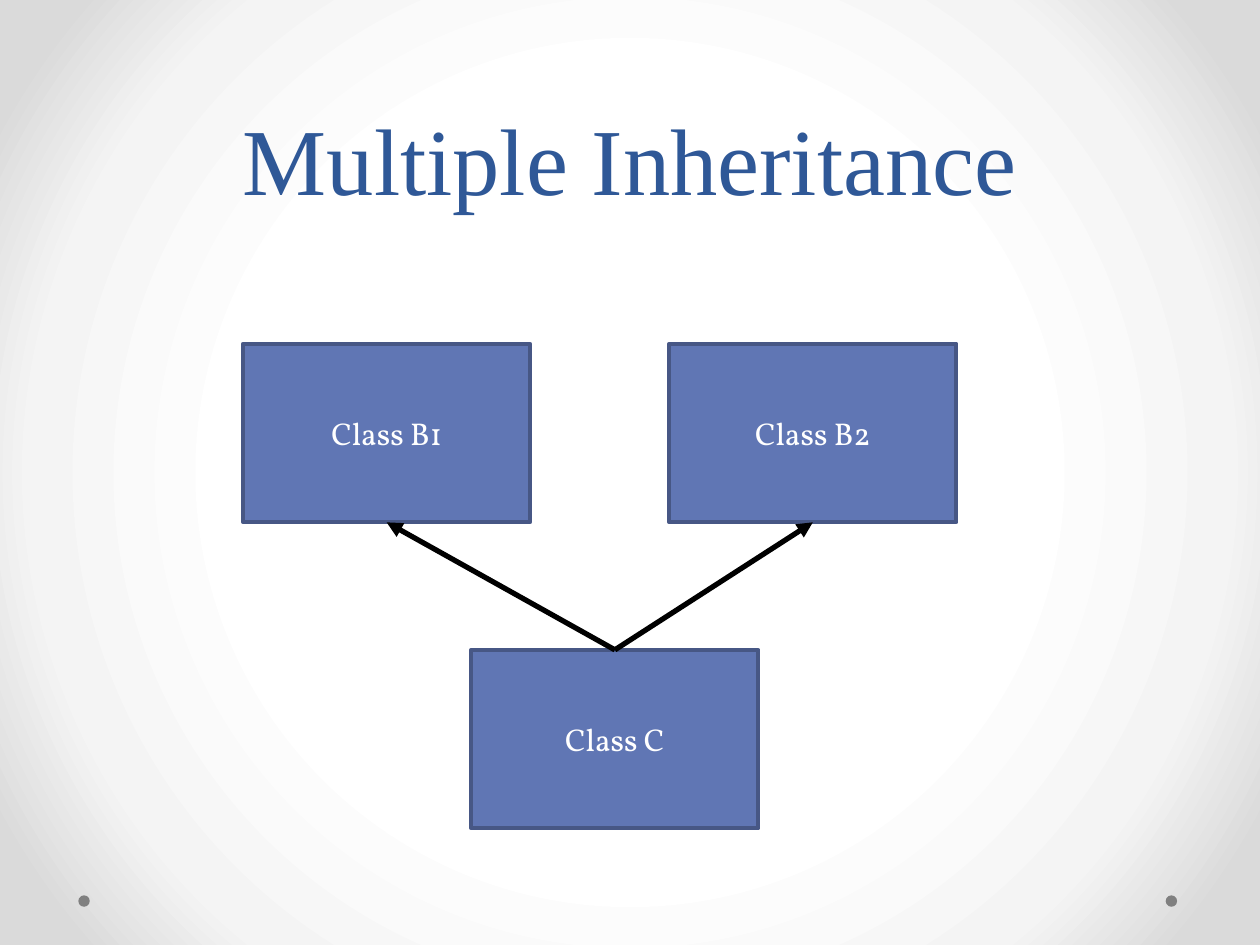
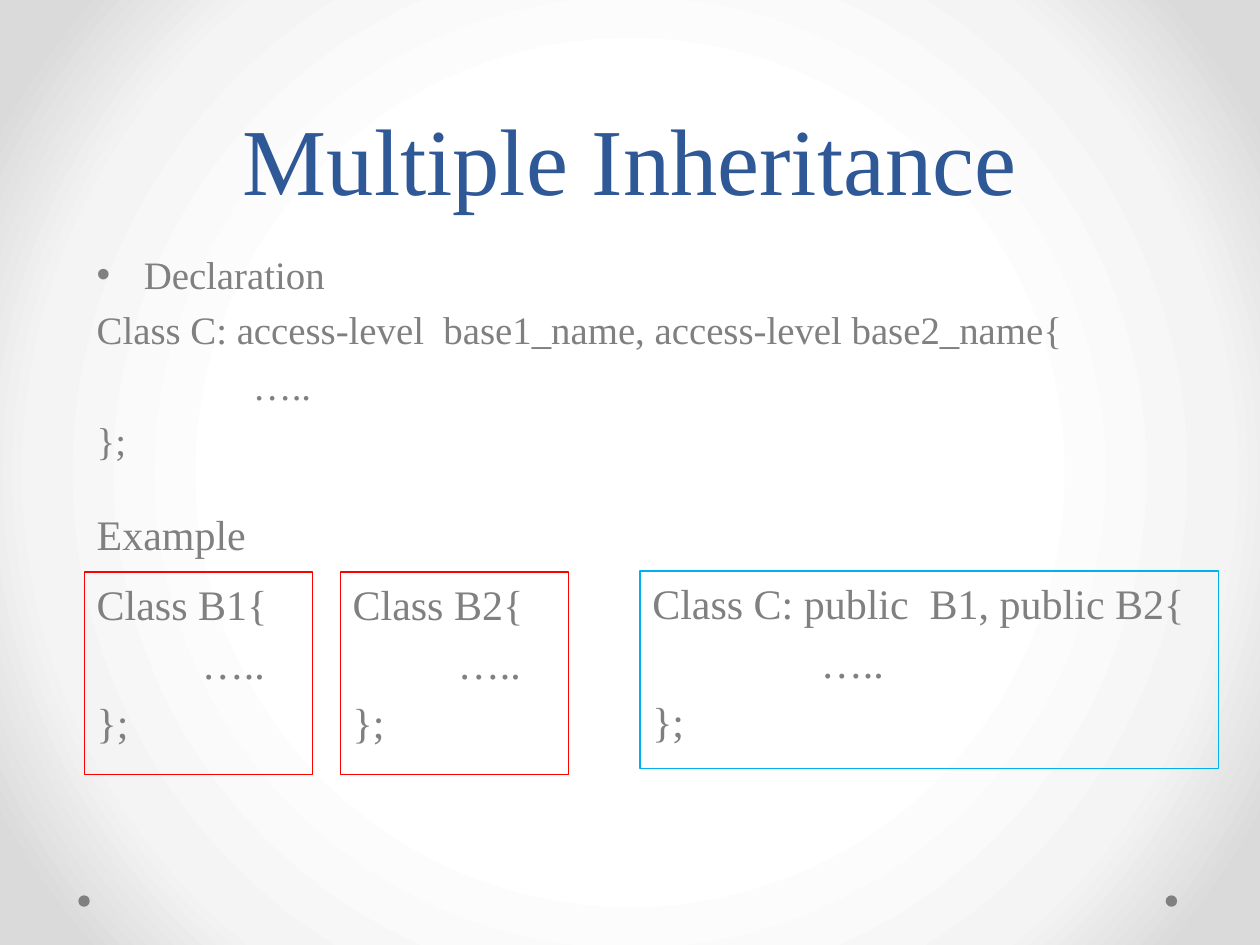
"""Build two slides on multiple inheritance: a class diagram and its declaration."""
from lxml import etree
from pptx import Presentation
from pptx.dml.color import RGBColor
from pptx.enum.shapes import MSO_CONNECTOR, MSO_SHAPE
from pptx.enum.text import MSO_ANCHOR, PP_ALIGN
from pptx.oxml import parse_xml
from pptx.oxml.ns import qn
from pptx.util import Cm, Pt

RECTANGLE = MSO_SHAPE.RECTANGLE
OVAL = MSO_SHAPE.OVAL
STRAIGHT = MSO_CONNECTOR.STRAIGHT
TOP, MIDDLE, BOTTOM = MSO_ANCHOR.TOP, MSO_ANCHOR.MIDDLE, MSO_ANCHOR.BOTTOM
LEFT, CENTER = PP_ALIGN.LEFT, PP_ALIGN.CENTER
TOP_SITE, BOTTOM_SITE = 0, 2

COLORS = {
    "title": "2F5897", "text": "808080", "class": "6076B4", "class_edge": "475785",
    "label": "FFFFFF", "arrow": "000000", "base_edge": "FF0000", "derived_edge": "00B0F0",
}
GLOW = [(50, "FFFFFF"), (76, "F4F4F4"), (92, "DADADA")]
SERIF, LABEL_FONT = "Times New Roman", "Vollkorn"


def add_box(page, place, fill=None, edge=None, weight=0.75, kind=RECTANGLE):
    """Add a preset shape with the given fill and edge colours."""
    box = page.shapes.add_shape(kind, *map(Cm, place))
    box.shadow.inherit = False
    if fill:
        box.fill.solid()
        box.fill.fore_color.rgb = RGBColor.from_string(COLORS[fill])
    else:
        box.fill.background()
    if edge:
        box.line.color.rgb = RGBColor.from_string(COLORS[edge])
        box.line.width = Pt(weight)
    else:
        box.line.fill.background()
    return box


def write(box, text, size, color, font=SERIF, align=LEFT, anchor=TOP, before=0):
    """Fill a shape with text, one paragraph per line."""
    frame = box.text_frame
    frame.word_wrap = True
    frame.vertical_anchor = anchor
    frame.text = text
    for para in frame.paragraphs:
        para.alignment = align
        para.space_before = Pt(before)
        for span in para.runs:
            span.font.size = Pt(size)
            span.font.name = font
            span.font.color.rgb = RGBColor.from_string(COLORS[color])
    return frame.paragraphs


deck = Presentation()
deck.slide_width, deck.slide_height = Cm(25.4), Cm(19.05)

master = deck.slide_master
master.background.fill.gradient()
gradient = master.element.xpath(".//p:bgPr/a:gradFill")[0]
stops = "".join(
    f'<a:gs pos="{percent * 1000}"><a:srgbClr val="{color}"/></a:gs>' for percent, color in GLOW
)
gradient.getparent().replace(gradient, parse_xml(
    '<a:gradFill xmlns:a="http://schemas.openxmlformats.org/drawingml/2006/main" rotWithShape="1">'
    f'<a:gsLst>{stops}</a:gsLst><a:path path="circle">'
    '<a:fillToRect l="50000" t="50000" r="50000" b="50000"/></a:path></a:gradFill>'
))

pages = []
for number in range(2):
    page = deck.slides.add_slide(deck.slide_layouts[6])
    for dot_left in (23.5, 1.58):
        add_box(page, (dot_left, 18.05, 0.23, 0.23), fill="text", kind=OVAL)
    title = page.shapes.add_textbox(Cm(1.27), Cm(0), Cm(22.86), Cm(4.45))
    heading = write(title, "Multiple Inheritance", 54, "title", align=CENTER, anchor=BOTTOM)[0]
    heading.line_spacing = Pt(58)
    pages.append(page)
diagram, code = pages

classes = {}
for name, left, top in [("B1", 4.9, 6.93), ("B2", 13.49, 6.93), ("C", 9.5, 13.1)]:
    box = add_box(diagram, (left, top, 5.79, 3.6), "class", "class_edge", 2.25)
    write(box, f"Class {name}", 18, "label", LABEL_FONT, CENTER, MIDDLE)
    classes[name] = box

for base in ("B1", "B2"):
    arrow = diagram.shapes.add_connector(STRAIGHT, 0, 0, 0, 0)
    arrow.begin_connect(classes["C"], TOP_SITE)
    arrow.end_connect(classes[base], BOTTOM_SITE)
    arrow.line.color.rgb = RGBColor.from_string(COLORS["arrow"])
    arrow.line.width = Pt(3)
    etree.SubElement(arrow.line._get_or_add_ln(), qn("a:tailEnd"), type="triangle")
    etree.SubElement(arrow.element.spPr, qn("a:effectLst"))

for head, place, edge, dots_indent in [
    ("Class B1{", (1.7, 11.53, 4.6, 4.09), "base_edge", 2.12),
    ("Class B2{", (6.86, 11.53, 4.6, 4.09), "base_edge", 2.12),
    ("Class C: public  B1, public B2{", (12.9, 11.51, 11.66, 3.99), "derived_edge", 3.4),
]:
    box = add_box(code, place, edge=edge)
    lines = write(box, f"{head}\n…..\n}};", 24, "text", before=5)
    lines[1]._p.get_or_add_pPr().set("marL", str(Cm(dots_indent)))

declaration = code.shapes.add_textbox(Cm(1.7), Cm(4.93), Cm(21.41), Cm(4.6))
lines = write(
    declaration,
    "Declaration\nClass C: access-level  base1_name, access-level base2_name{\n…..\n};",
    22.2, "text", before=5,
)
bullet = lines[0]._p.get_or_add_pPr()
bullet.set("marL", str(Cm(0.95)))
bullet.set("indent", str(Cm(-0.95)))
etree.SubElement(bullet, qn("a:buFont"), typeface="Arial")
etree.SubElement(bullet, qn("a:buChar"), char="•")
lines[2]._p.get_or_add_pPr().set("marL", str(Cm(3.15)))

example = code.shapes.add_textbox(Cm(1.7), Cm(10.13), Cm(6.02), Cm(4.09))
write(example, "Example", 24, "text", before=5)

deck.save("out.pptx")
